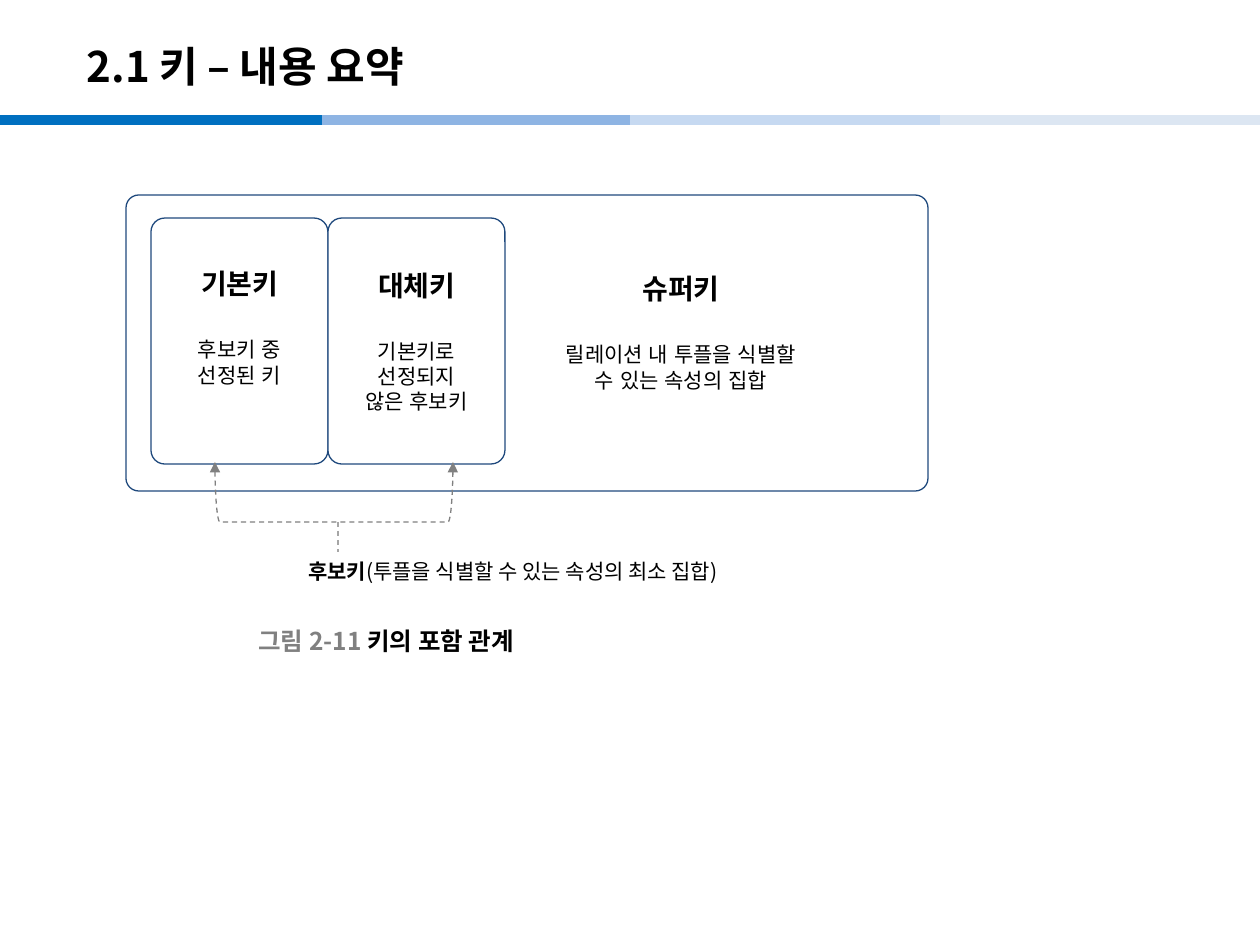
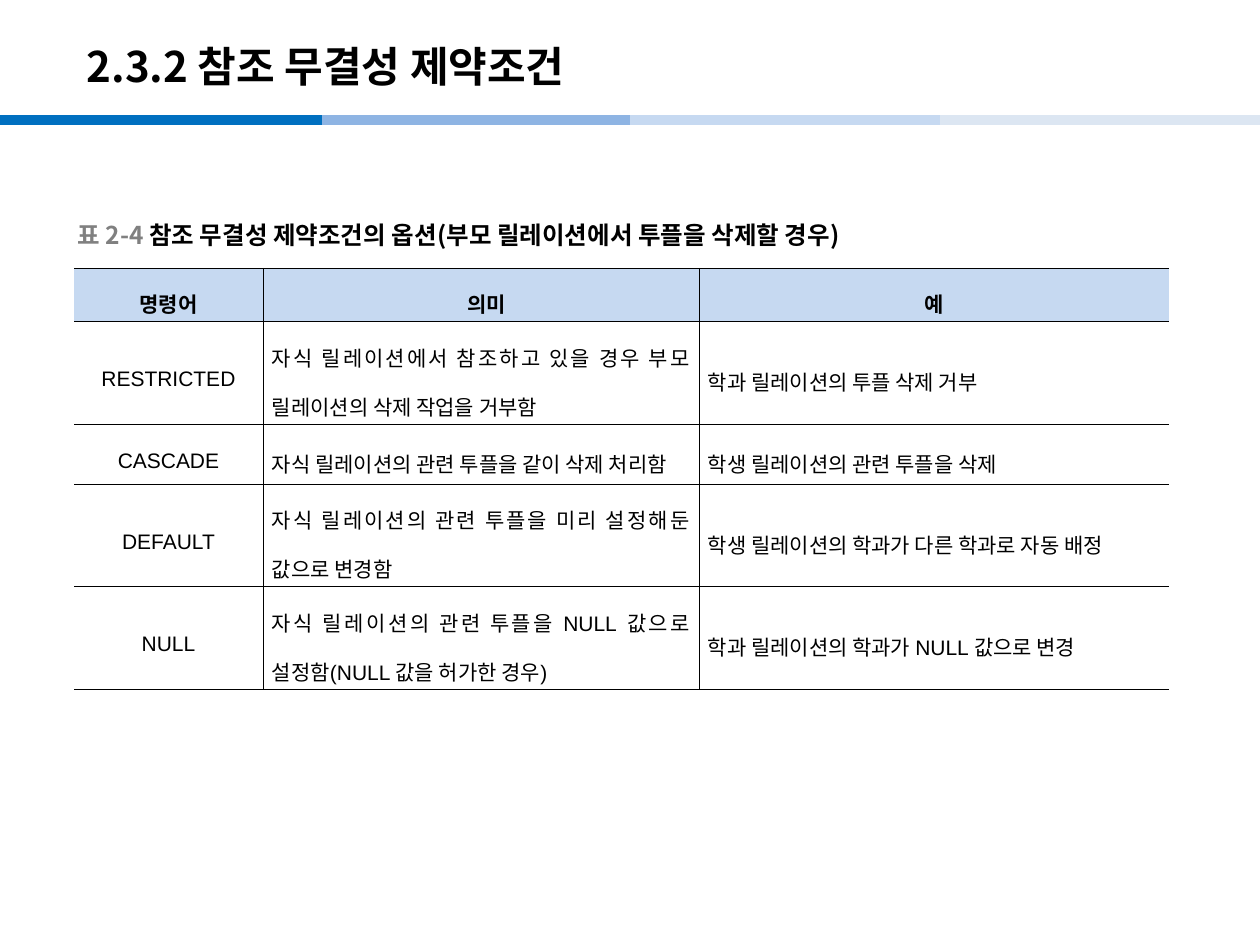
import pptx
import pptx.util
import pptx.dml.color
import pptx.enum.dml
import pptx.enum.shapes
import pptx.enum.text
import pptx.oxml.ns
import lxml.etree

PX = 914400 / 126
KOREAN, LATIN = "Noto Sans CJK KR", "Arial"
BLACK, WHITE, GREY, LIGHT_GREY = "000000", "FFFFFF", "808080", "A6A6A6"
NAVY, HEADER_BLUE = "1F497D", "C6D9F1"
BANDS = [(0, "0070C0"), (322, "8EB4E3"), (630, "C6D9F1"), (940, "DCE6F2")]
BAND_WIDTH, BAND_Y = 322, 120
TITLE_BOX = (74, 28, 1042, 76)
ALIGN = pptx.enum.text.PP_ALIGN
ANCHOR = pptx.enum.text.MSO_ANCHOR
SHAPE = pptx.enum.shapes.MSO_SHAPE


def px(*lengths):
    return [pptx.util.Emu(round(length * PX)) for length in lengths]


def rgb(color):
    return pptx.dml.color.RGBColor.from_string(color)


def write(frame, paragraphs, size=12, bold=False, color=BLACK, latin=KOREAN,
          east_asian=KOREAN, align=ALIGN.LEFT, anchor=ANCHOR.MIDDLE,
          spacing=None, in_cell=False, insets=None):
    """Each paragraph is a string or a list of (text, format changes)."""
    if not in_cell:
        frame.word_wrap = True
        frame.vertical_anchor = anchor
    if insets:
        (frame.margin_left, frame.margin_top,
         frame.margin_right, frame.margin_bottom) = px(*insets)
    for index, runs in enumerate(paragraphs):
        paragraph = frame.add_paragraph() if index else frame.paragraphs[0]
        paragraph.alignment = align
        if spacing:
            paragraph.line_spacing = spacing
        for text, changes in [(runs, {})] if isinstance(runs, str) else runs:
            run = paragraph.add_run()
            run.text = text
            run.font.name = latin
            run.font.size = pptx.util.Pt(changes.get("size", size))
            run.font.bold = changes.get("bold", bold)
            run.font.color.rgb = rgb(changes.get("color", color))
            if "before" in changes:
                paragraph.space_before = pptx.util.Pt(changes["before"])
            # Korean typeface, no pair kerning
            properties = run._r.get_or_add_rPr()
            properties.set("kern", "0")
            typeface = lxml.etree.Element(pptx.oxml.ns.qn("a:ea"), typeface=east_asian)
            properties.find(pptx.oxml.ns.qn("a:latin")).addnext(typeface)


def style_line(line, color, width, dashed=False):
    line.color.rgb = rgb(color)
    line.width = pptx.util.Pt(width)
    if dashed:
        line.dash_style = pptx.enum.dml.MSO_LINE.DASH


def add_line(slide, start, end, color, width, dashed=False):
    line = slide.shapes.add_connector(
        pptx.enum.shapes.MSO_CONNECTOR.STRAIGHT, *px(*start, *end))
    style_line(line.line, color, width, dashed)
    lxml.etree.SubElement(line.element.spPr, pptx.oxml.ns.qn("a:effectLst"))
    return line


def add_bands(slide, layout):
    """Draw the colour bands and move them to the shared layout."""
    for left, color in BANDS:
        band = add_line(slide, (left, BAND_Y), (left + BAND_WIDTH, BAND_Y), color, 6)
        layout.shapes.element.append(band.element)


def add_titled_slide(deck, layout, title):
    slide = deck.slides.add_slide(layout)
    heading = slide.shapes.title
    heading.left, heading.top, heading.width, heading.height = px(*TITLE_BOX)
    write(heading.text_frame, [title], size=24, bold=True)
    return slide


def add_caption(slide, box, number, text):
    caption = slide.shapes.add_textbox(*px(*box))
    write(caption.text_frame, [[(number + " ", {"color": GREY}), (text, {})]],
          size=14, bold=True)


def add_key_box(slide, box, corner, name, lines, insets):
    key = slide.shapes.add_shape(SHAPE.ROUNDED_RECTANGLE, *px(*box))
    key.shadow.inherit = False
    key.adjustments[0] = corner
    key.fill.solid()
    key.fill.fore_color.rgb = rgb(WHITE)
    style_line(key.line, NAVY, 0.75)
    first, *rest = lines
    write(key.text_frame,
          [[(name, {"size": 16, "bold": True})], [(first, {"before": 21})], *rest],
          latin=LATIN, east_asian=LATIN, align=ALIGN.CENTER, insets=insets)


def add_candidate_bracket(slide, left, top, width, height):
    """Upward bracket joining the two candidate keys, with its stem."""
    shift = (width - height) / 2
    bracket = slide.shapes.add_shape(
        SHAPE.LEFT_BRACKET, *px(left + shift, top - shift, height, width))
    bracket.rotation = 270
    bracket.shadow.inherit = False
    bracket.fill.background()
    style_line(bracket.line, GREY, 0.75, dashed=True)
    outline = bracket.element.spPr.find(pptx.oxml.ns.qn("a:ln"))
    for end in ("a:headEnd", "a:tailEnd"):
        lxml.etree.SubElement(outline, pptx.oxml.ns.qn(end), type="triangle")
    stem_x, stem_top = left + 123, top + height
    add_line(slide, (stem_x, stem_top), (stem_x, stem_top + 30), LIGHT_GREY, 0.75, True)


def add_key_diagram(slide, left, top, width, height):
    # Super key holds the two candidate keys
    add_key_box(slide, (left, top, width, height), 0.043, "슈퍼키",
                ["릴레이션 내 투플을 식별할", "수 있는 속성의 집합"], (320, 6, 12, 28))
    candidates = [("기본키", ["후보키 중", "선정된 키"], 34),
                  ("대체키", ["기본키로", "선정되지", "않은 후보키"], 6)]
    for index, (name, lines, bottom) in enumerate(candidates):
        box = (left + 25 + index * 177, top + 23, 177, 246)
        add_key_box(slide, box, 0.078, name, lines, (12, 6, 12, bottom))
    # Candidate key bracket and label
    add_candidate_bracket(slide, left + 89, top + 267, 238, 60)
    label = slide.shapes.add_textbox(*px(left + 170, top + 357, 515, 38))
    write(label.text_frame, [[("후보키", {"bold": True}),
                              ("(투플을 식별할 수 있는 속성의 최소 집합)", {})]],
          anchor=ANCHOR.TOP)


def set_borders(cell, visible):
    """Thin black lines on the visible sides (of L, R, T, B), none elsewhere."""
    properties = cell._tc.get_or_add_tcPr()
    for index, side in enumerate("LRTB"):
        border = lxml.etree.Element(pptx.oxml.ns.qn("a:ln" + side), w="3556")
        if side in visible:
            fill = lxml.etree.SubElement(border, pptx.oxml.ns.qn("a:solidFill"))
            lxml.etree.SubElement(fill, pptx.oxml.ns.qn("a:srgbClr"), val=BLACK)
        else:
            lxml.etree.SubElement(border, pptx.oxml.ns.qn("a:noFill"))
        properties.insert(index, border)


def add_option_table(slide, left, top, widths, heights, rows):
    table = slide.shapes.add_table(
        len(rows), len(widths), *px(left, top, sum(widths), sum(heights))).table
    for column, width in zip(table.columns, px(*widths)):
        column.width = width
    for row, height in zip(table.rows, px(*heights)):
        row.height = height
    for r, texts in enumerate(rows):
        for c, text in enumerate(texts):
            cell = table.cell(r, c)
            header = r == 0
            if header:
                cell.fill.solid()
                cell.fill.fore_color.rgb = rgb(HEADER_BLUE)
            else:
                cell.fill.background()
            set_borders(cell, ("RTB", "LRTB", "LTB")[c])
            cell.vertical_anchor = ANCHOR.MIDDLE
            indent = 12 if header and c == 1 else 0
            (cell.margin_left, cell.margin_top,
             cell.margin_right, cell.margin_bottom) = px(9 + indent, 2, 9, 2)
            centred = header or c == 0
            write(cell.text_frame, [text], bold=header, latin=LATIN, spacing=1.6,
                  align=ALIGN.CENTER if centred else ALIGN.JUSTIFY, in_cell=True)


OPTIONS = [
    ("명령어", "의미", "예"),
    ("RESTRICTED", "자식 릴레이션에서 참조하고 있을 경우 부모 릴레이션의 삭제 작업을 거부함",
     "학과 릴레이션의 투플 삭제 거부"),
    ("CASCADE", "자식 릴레이션의 관련 투플을 같이 삭제 처리함",
     "학생 릴레이션의 관련 투플을 삭제"),
    ("DEFAULT", "자식 릴레이션의 관련 투플을 미리 설정해둔 값으로 변경함",
     "학생 릴레이션의 학과가 다른 학과로 자동 배정"),
    ("NULL", "자식 릴레이션의 관련 투플을 NULL 값으로 설정함(NULL 값을 허가한 경우)",
     "학과 릴레이션의 학과가 NULL 값으로 변경"),
]


def main():
    deck = pptx.Presentation()
    deck.slide_width, deck.slide_height = px(1260, 945)
    layout = deck.slide_layouts[5]

    # Key summary
    keys = add_titled_slide(deck, layout, "2.1 키 – 내용 요약")
    add_bands(keys, layout)
    add_key_diagram(keys, 126, 195, 802, 296)
    add_caption(keys, (246, 621, 320, 39), "그림 2-11", "키의 포함 관계")

    # Referential integrity options
    integrity = add_titled_slide(deck, layout, "2.3.2 참조 무결성 제약조건")
    add_option_table(integrity, 74, 268, (189, 436, 470), (53, 103, 60, 102, 103), OPTIONS)
    add_caption(integrity, (65, 215, 900, 39), "표 2-4",
                "참조 무결성 제약조건의 옵션(부모 릴레이션에서 투플을 삭제할 경우)")
    deck.save("out.pptx")


if __name__ == "__main__":
    main()
